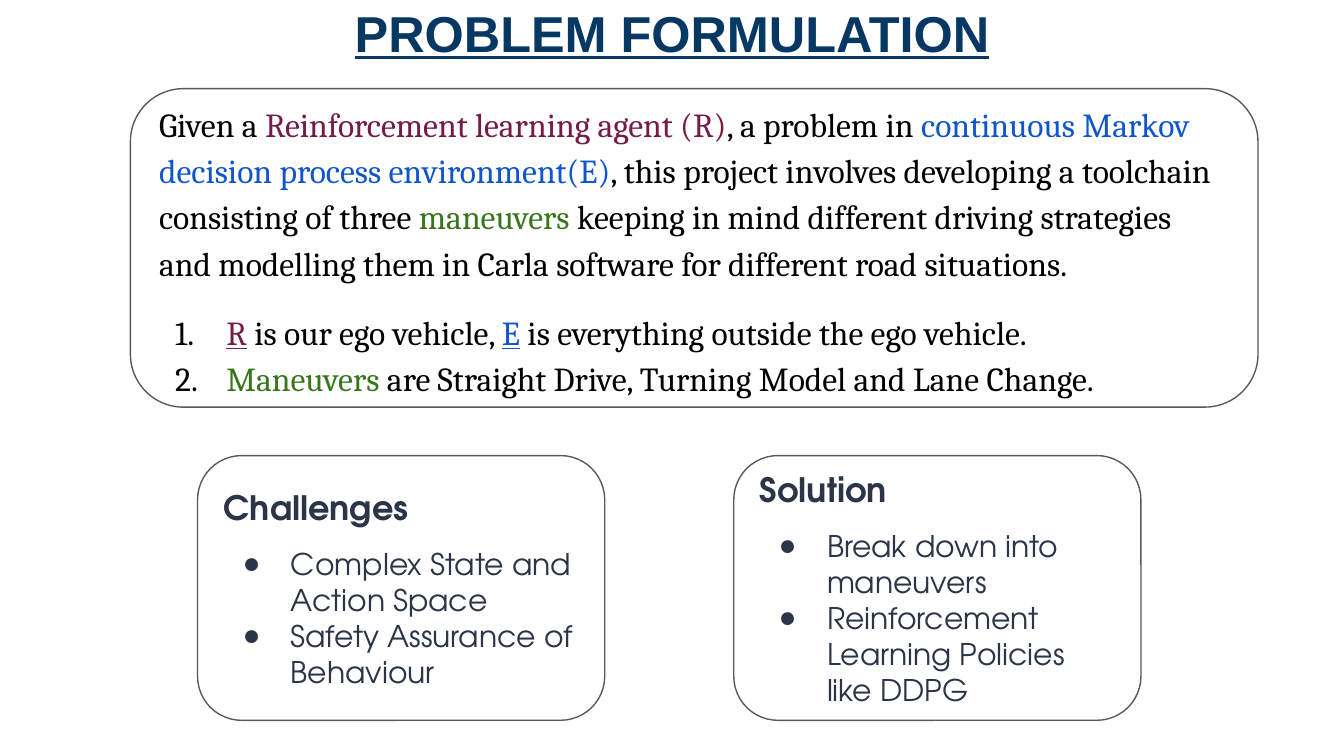
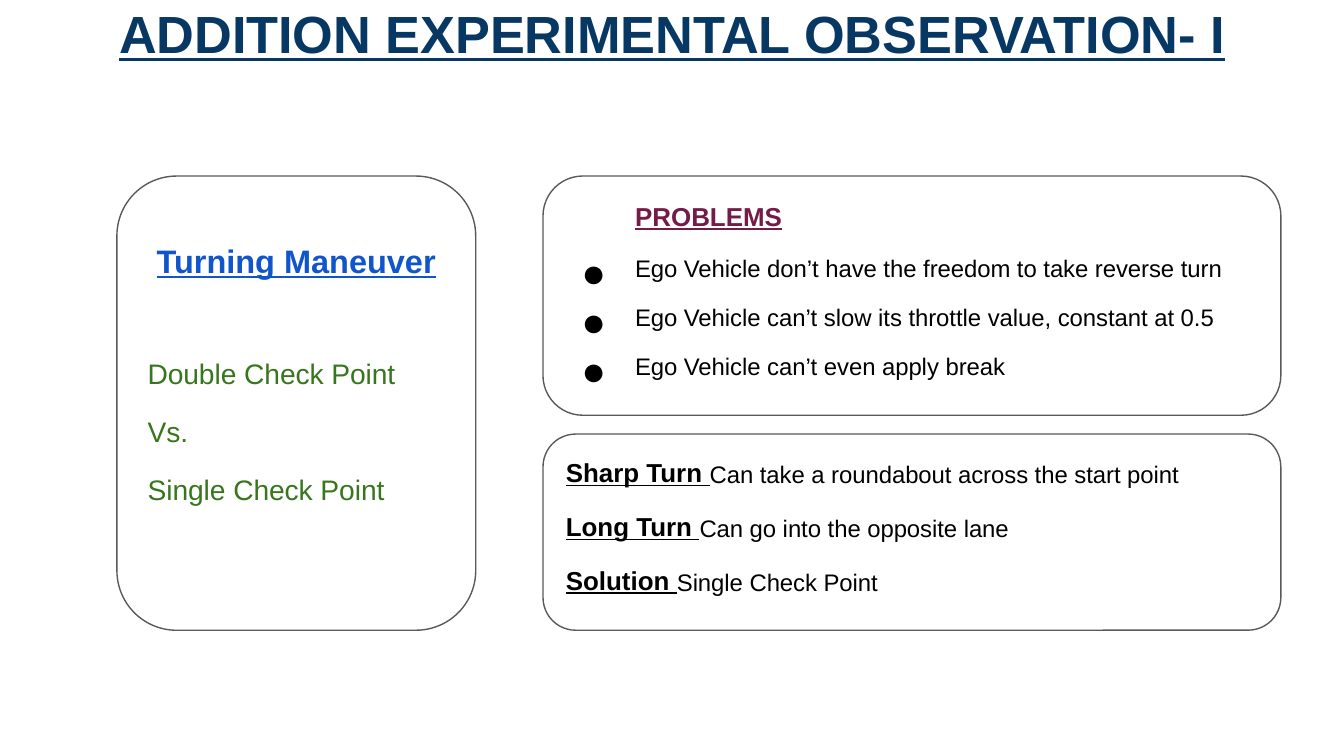
from lxml import etree
from pptx import Presentation
from pptx import util as u
from pptx.dml.color import RGBColor
from pptx.enum import shapes, text
from pptx.oxml.ns import qn

COLORS = {
    "title": "073763", "outline": "595959", "black": "000000", "slate": "2B3547",
    "agent": "741B47", "environment": "1155CC", "maneuver": "38761D",
}
LEFT, CENTER = text.PP_ALIGN.LEFT, text.PP_ALIGN.CENTER

# Widescreen, 16:9
presentation = Presentation()
presentation.slide_width = u.Inches(10)
presentation.slide_height = u.Inches(10 * 9 / 16)


def write_paragraph(frame, index, runs, font, size, align=LEFT, bullet=None, bullet_color="black",
                    margin=0, indent=0, spacing=1.0, before=0, after=0, raised=False):
    """Each run is (text, color name, optional style letters b and u, optional size)."""
    paragraph = frame.paragraphs[0] if index == 0 else frame.add_paragraph()
    paragraph.alignment = align
    paragraph.line_spacing = spacing
    paragraph.space_before, paragraph.space_after = u.Pt(before), u.Pt(after)
    properties = paragraph._p.get_or_add_pPr()
    properties.set("marL", str(u.Inches(margin)))
    properties.set("indent", str(u.Inches(indent)))
    if bullet:
        color = etree.SubElement(properties, qn("a:buClr"))
        etree.SubElement(color, qn("a:srgbClr"), val=COLORS[bullet_color])
        if bullet == "number":
            etree.SubElement(properties, qn("a:buFont"), typeface=font)
            etree.SubElement(properties, qn("a:buAutoNum"), type="arabicPeriod")
        else:
            etree.SubElement(properties, qn("a:buFont"), typeface="Arial")
            etree.SubElement(properties, qn("a:buChar"), char=bullet)
    else:
        etree.SubElement(properties, qn("a:buNone"))
    for words, color_name, *style in runs:
        run = paragraph.add_run()
        run.text = words
        letters = style[0] if style else ""
        run.font.name = font
        run.font.size = u.Pt(style[1] if len(style) > 1 else size)
        run.font.bold, run.font.underline = "b" in letters, "u" in letters
        run.font.color.rgb = RGBColor.from_string(COLORS[color_name])
        if raised:
            run.font._element.set("baseline", "30000")


def prepare_frame(shape, anchor, bottom=0.1):
    frame = shape.text_frame
    frame.word_wrap = True
    frame.auto_size = text.MSO_AUTO_SIZE.NONE
    frame.vertical_anchor = anchor
    frame.margin_left = frame.margin_right = frame.margin_top = u.Inches(0.1)
    frame.margin_bottom = u.Inches(bottom)
    return frame


# Paragraph styles
serif = dict(font="Cambria", size=18, spacing=1.15)
numbered = dict(serif, bullet="number", margin=0.5, indent=-0.38)
heading = dict(font="TeX Gyre Adventor", size=18)
point = dict(font="TeX Gyre Adventor", size=16, bullet="●", bullet_color="slate",
             margin=0.5, indent=-0.36)
raised = dict(font="Arial", size=22, raised=True)
problem = dict(raised, bullet="●", margin=0.5, indent=-0.4)

# Slide 1 cards: (left, top, width, height), paragraphs, bottom inset
formulation_cards = [
    ((0.97, 0.66, 8.39, 2.37), [
        ([("Given a ", "black"), ("Reinforcement learning agent (R)", "agent"),
          (", a problem in ", "black"),
          ("continuous Markov decision process environment(E)", "environment"),
          (", this project involves developing a toolchain consisting of three", "black"),
          (" maneuvers", "maneuver"),
          (" keeping in mind different driving strategies and modelling them in Carla "
           "software for different road situations.", "black")], serif),
        ([("R", "agent", "u"), (" is our ego vehicle, ", "black"), ("E", "environment", "u"),
          (" is everything outside the ego vehicle.", "black")], dict(numbered, before=12)),
        ([("Maneuvers", "maneuver"),
          (" are Straight Drive, Turning Model and Lane Change.", "black")], numbered),
    ], 0.1),
]
topics = [
    ("Challenges", "Complex State and Action Space", "Safety Assurance of Behaviour"),
    ("Solution", "Break down into maneuvers", "Reinforcement Learning Policies like DDPG"),
]
for column, (name, first, second) in enumerate(topics):
    formulation_cards.append(((1.47 + 3.99 * column, 3.39, 3.03, 1.97), [
        ([(name, "slate", "b")], heading),
        ([(first, "slate")], dict(point, before=10)),
        ([(second, "slate")], point),
    ], 0.1))

# Slide 2 cards
outcomes = [
    ("Sharp Turn ", "Can take a roundabout across the start point"),
    ("Long Turn ", "Can go into the opposite lane"),
    ("Solution ", "Single Check Point"),
]
problems = [
    "Ego Vehicle don’t have the freedom to take reverse turn",
    "Ego Vehicle can’t slow its throttle value, constant at 0.5",
    "Ego Vehicle can’t even apply break",
]
checkpoints = ["Double Check Point", "Vs.", "Single Check Point"]
observation_cards = [
    ((0.87, 1.31, 2.67, 3.38),
     [([("Turning Maneuver", "environment", "bu", 30)], dict(raised, align=CENTER, after=26))]
     + [([(line, "maneuver", "", 26)], raised) for line in checkpoints], 0.45),
    ((4.04, 3.23, 5.49, 1.46),
     [([(name, "black", "bu", 24), (result, "black")], raised) for name, result in outcomes], 0.1),
    ((4.04, 1.31, 5.49, 1.78),
     [([("PROBLEMS", "agent", "bu", 24)], dict(raised, margin=0.5))]
     + [([(line, "black")], problem) for line in problems], 0.1),
]

# Build the slides
slides = [
    ("PROBLEM FORMULATION", 27, 0.99, formulation_cards),
    ("ADDITION EXPERIMENTAL OBSERVATION- I", 28, 0.58, observation_cards),
]
for title, title_size, title_height, cards in slides:
    slide = presentation.slides.add_slide(presentation.slide_layouts[5])

    # Title
    shape = slide.shapes.title
    shape.left, shape.top = u.Inches(0.34), u.Inches(0)
    shape.width, shape.height = u.Inches(9.32), u.Inches(title_height)
    frame = prepare_frame(shape, text.MSO_ANCHOR.TOP)
    write_paragraph(frame, 0, [(title, "title", "bu")], "Arial", title_size, CENTER, spacing=0.8)

    # Rounded cards
    for box, paragraphs, bottom in cards:
        shape = slide.shapes.add_shape(shapes.MSO_SHAPE.ROUNDED_RECTANGLE, *map(u.Inches, box))
        shape.shadow.inherit = False
        shape.fill.background()
        shape.line.color.rgb = RGBColor.from_string(COLORS["outline"])
        shape.line.width = u.Pt(0.75)
        frame = prepare_frame(shape, text.MSO_ANCHOR.MIDDLE, bottom)
        for index, (runs, style) in enumerate(paragraphs):
            write_paragraph(frame, index, runs, **style)

presentation.save("out.pptx")
